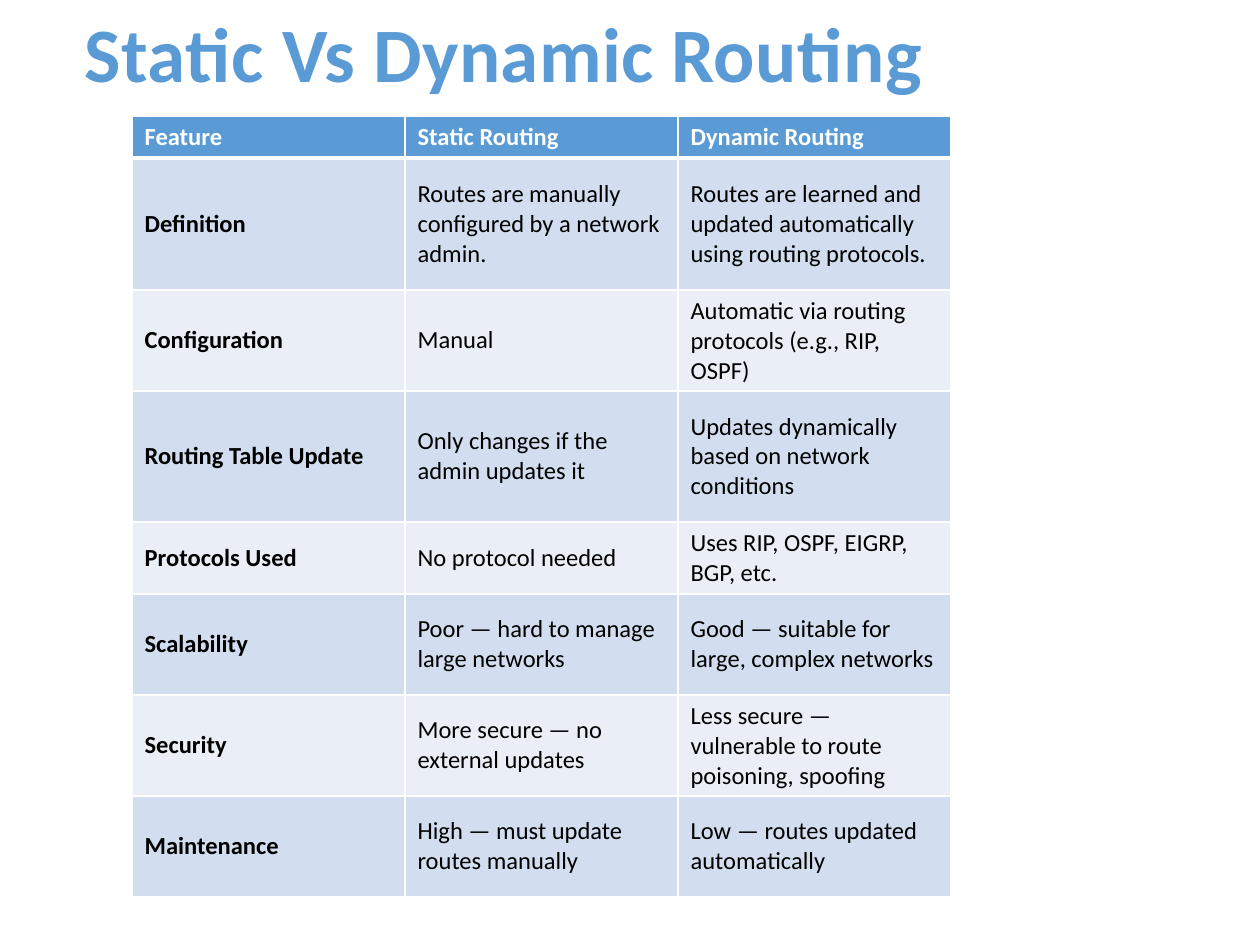
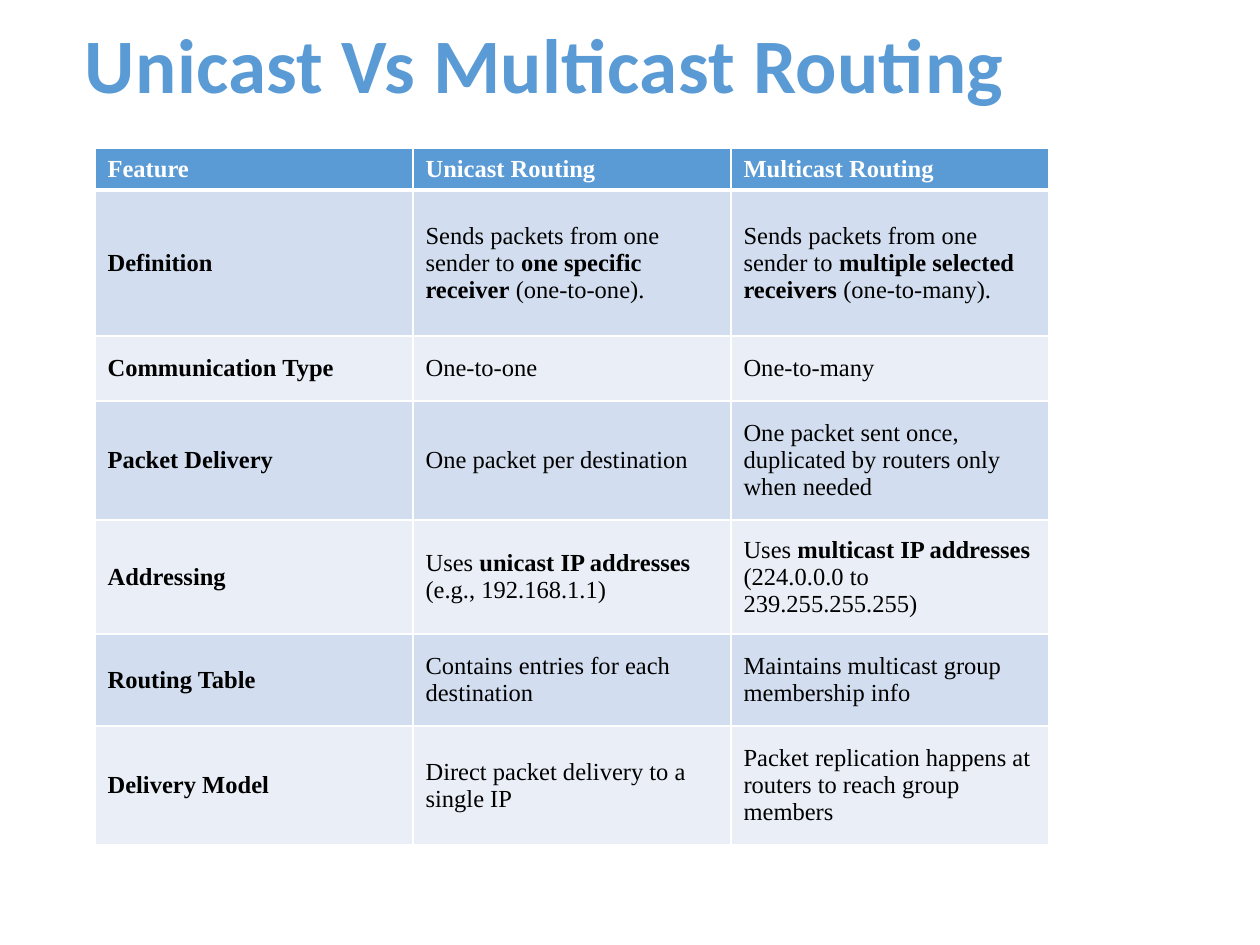
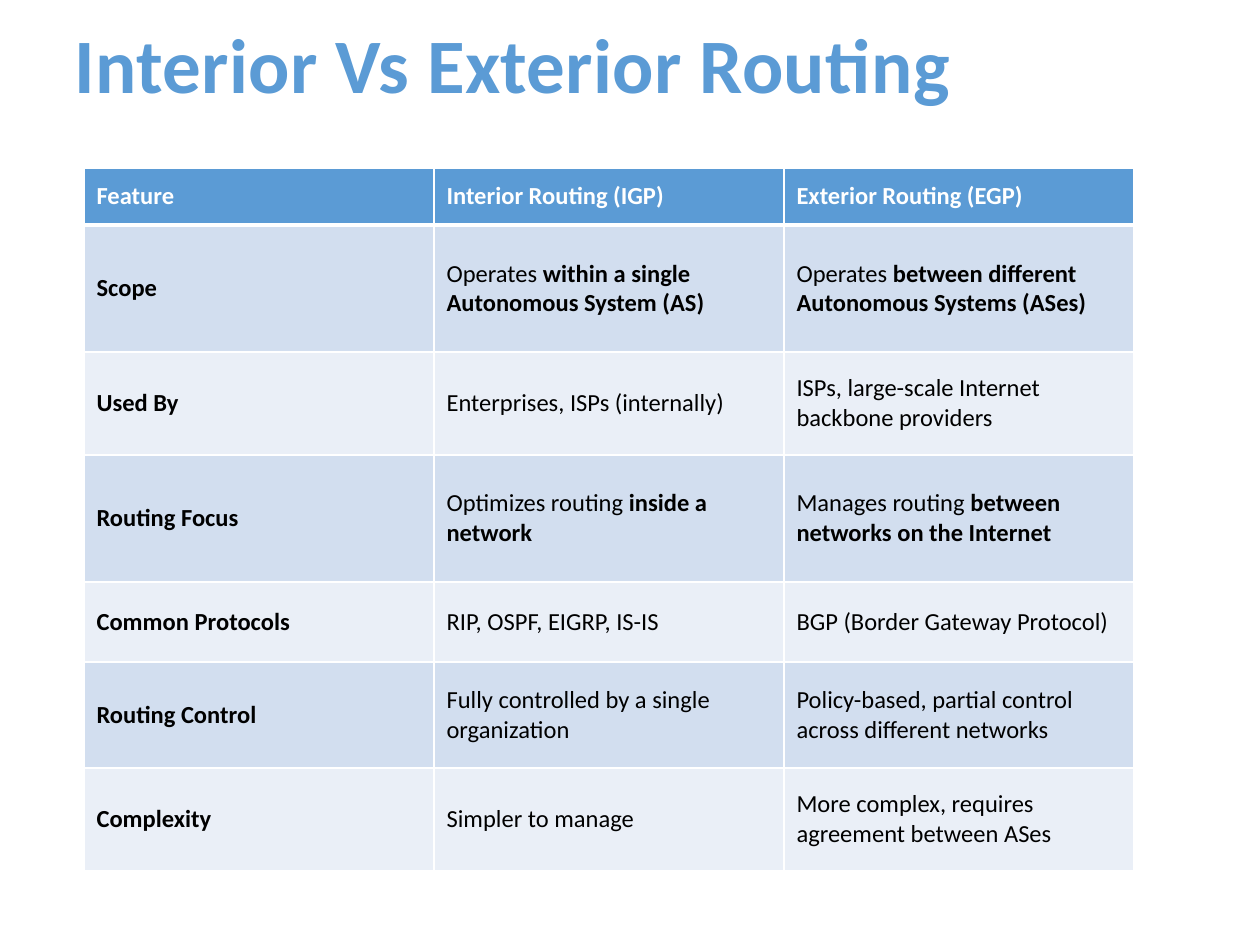
from lxml import etree
from pptx import Presentation
from pptx import util as u
from pptx.dml.color import RGBColor
from pptx.enum import text
from pptx.oxml.ns import qn

PX = 914400 // 126
COLORS = {"accent": "5B9BD5", "odd": "D2DEEF", "even": "EAEFF7",
          "white": "FFFFFF", "black": "000000"}

# Content: places and sizes in px, **...** marks bold words
SLIDES = [
    {
        "title": "Static Vs Dynamic Routing", "title_box": (84, 10, 934, 95),
        "font": "Calibri", "corner": (132, 116), "column": 273,
        "heights": [41, 132, 101, 131, 72, 101, 101, 101],
        "rows": [
            ("Feature", "Static Routing", "Dynamic Routing"),
            ("Definition", "Routes are manually configured by a network admin.",
             "Routes are learned and updated automatically using routing protocols."),
            ("Configuration", "Manual",
             "Automatic via routing protocols (e.g., RIP, OSPF)"),
            ("Routing Table Update", "Only changes if the admin updates it",
             "Updates dynamically based on network conditions"),
            ("Protocols Used", "No protocol needed",
             "Uses RIP, OSPF, EIGRP, BGP, etc."),
            ("Scalability", "Poor — hard to manage large networks",
             "Good — suitable for large, complex networks"),
            ("Security", "More secure — no external updates",
             "Less secure — vulnerable to route poisoning, spoofing"),
            ("Maintenance", "High — must update routes manually",
             "Low — routes updated automatically"),
        ],
    },
    {
        "title": "Unicast Vs Multicast Routing", "title_box": (84, 21, 934, 95),
        "font": "Times New Roman", "corner": (95, 148), "column": 318,
        "heights": [41, 146, 65, 119, 114, 92, 119],
        "rows": [
            ("Feature", "Unicast Routing", "Multicast Routing"),
            ("Definition",
             "Sends packets from one sender to **one specific receiver** (one-to-one).",
             "Sends packets from one sender to **multiple selected receivers** (one-to-many)."),
            ("Communication Type", "One-to-one", "One-to-many"),
            ("Packet Delivery", "One packet per destination",
             "One packet sent once, duplicated by routers only when needed"),
            ("Addressing", "Uses **unicast IP addresses** (e.g., 192.168.1.1)",
             "Uses **multicast IP addresses** (224.0.0.0 to 239.255.255.255)"),
            ("Routing Table", "Contains entries for each destination",
             "Maintains multicast group membership info"),
            ("Delivery Model", "Direct packet delivery to a single IP",
             "Packet replication happens at routers to reach group members"),
        ],
    },
    {
        "title": "Interior Vs Exterior Routing", "title_box": (74, 21, 1102, 95),
        "font": "Calibri", "corner": (84, 168), "column": 350,
        "heights": [57, 127, 103, 127, 80, 106, 103],
        "rows": [
            ("Feature", "Interior Routing (IGP)", "Exterior Routing (EGP)"),
            ("Scope", "Operates **within a single Autonomous System (AS)**",
             "Operates **between different Autonomous Systems (ASes)**"),
            ("Used By", "Enterprises, ISPs (internally)",
             "ISPs, large-scale Internet backbone providers"),
            ("Routing Focus", "Optimizes routing **inside a network**",
             "Manages routing **between networks on the Internet**"),
            ("Common Protocols", "RIP, OSPF, EIGRP, IS-IS",
             "BGP (Border Gateway Protocol)"),
            ("Routing Control", "Fully controlled by a single organization",
             "Policy-based, partial control across different networks"),
            ("Complexity", "Simpler to manage",
             "More complex, requires agreement between ASes"),
        ],
    },
]


def rgb(name):
    return RGBColor.from_string(COLORS[name])


def write(frame, words, *, font, size, color, bold=False, spacing=None, tracking=None):
    paragraph = frame.paragraphs[0]
    paragraph.line_spacing = spacing
    for i, part in enumerate(words.split("**")):
        if not part:
            continue
        run = paragraph.add_run()
        run.text = part
        run.font.name = font
        run.font.size = u.Pt(size)
        run.font.bold = bold or i % 2 == 1
        run.font.color.rgb = rgb(color)
        if tracking:
            run.font._element.set("spc", str(tracking))


def add_borders(cell, top, bottom):
    props = cell._tc.get_or_add_tcPr()
    for side, width in (("L", 1), ("R", 1), ("T", top), ("B", bottom)):
        line = etree.SubElement(props, qn(f"a:ln{side}"), w=str(u.Pt(width)))
        fill = etree.SubElement(line, qn("a:solidFill"))
        etree.SubElement(fill, qn("a:srgbClr"), val=COLORS["white"])


def add_title(slide, title, box):
    frame = slide.shapes.add_textbox(*(n * PX for n in box)).text_frame
    frame.word_wrap = True
    frame.vertical_anchor = text.MSO_ANCHOR.MIDDLE
    frame.margin_left = frame.margin_top = PX
    frame.margin_right = frame.margin_bottom = 0
    write(frame, title, font="Calibri", size=44, color="accent", bold=True,
          spacing=0.9, tracking=20)


def add_comparison(slide, rows, heights, corner, column, font):
    columns = len(rows[0])
    size = (column * columns, sum(heights))
    table = slide.shapes.add_table(len(rows), columns,
                                   *(n * PX for n in corner + size)).table
    for table_column in table.columns:
        table_column.width = column * PX
    for r, (row, height) in enumerate(zip(rows, heights)):
        table.rows[r].height = height * PX
        header = r == 0
        band = "accent" if header else "odd" if r % 2 else "even"
        for c, words in enumerate(row):
            cell = table.cell(r, c)
            cell.vertical_anchor = text.MSO_ANCHOR.MIDDLE
            # A thick rule parts the header from the body
            add_borders(cell, top=3 if r == 1 else 1, bottom=3 if header else 1)
            cell.fill.solid()
            cell.fill.fore_color.rgb = rgb(band)
            write(cell.text_frame, words, font=font, size=14,
                  color="white" if header else "black", bold=header or c == 0)


def main():
    deck = Presentation()
    deck.slide_width, deck.slide_height = u.Inches(10), u.Inches(7.5)
    for page in SLIDES:
        slide = deck.slides.add_slide(deck.slide_layouts[6])
        add_title(slide, page["title"], page["title_box"])
        add_comparison(slide, page["rows"], page["heights"], page["corner"],
                       page["column"], page["font"])
    deck.save("out.pptx")


if __name__ == "__main__":
    main()
